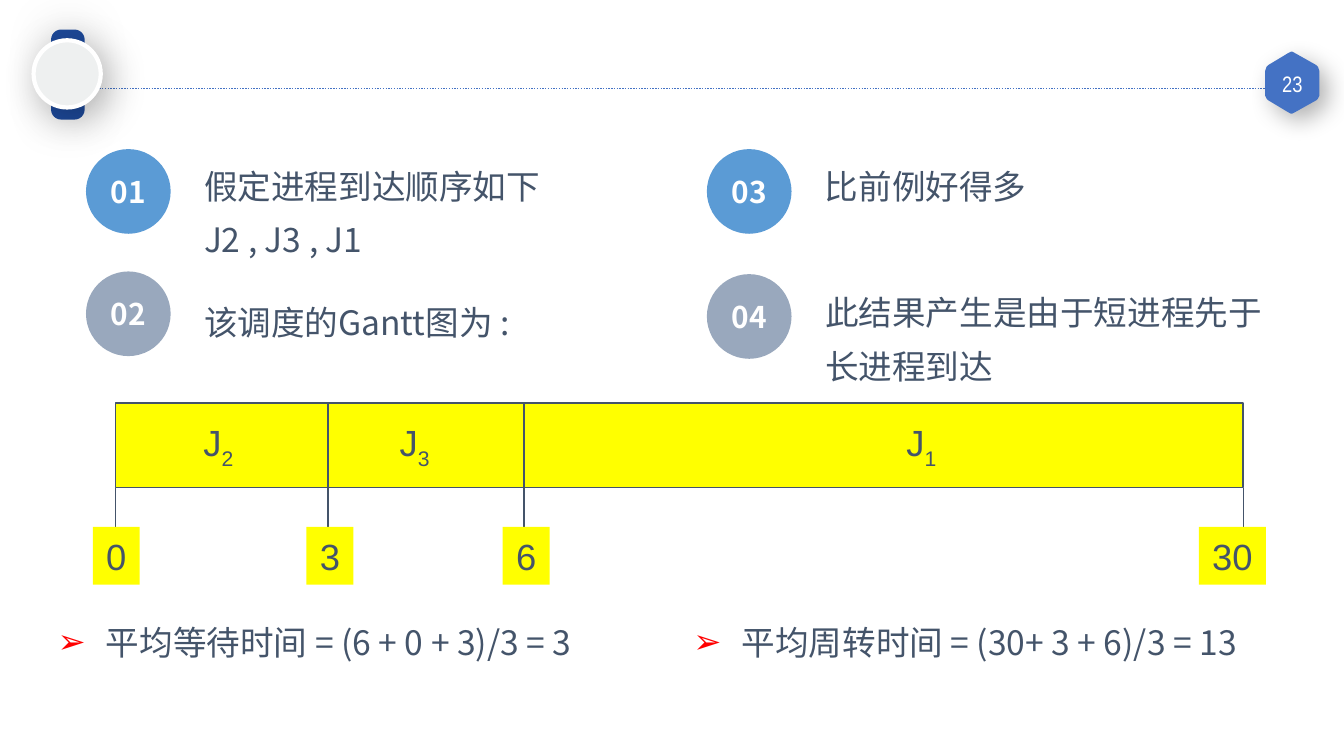
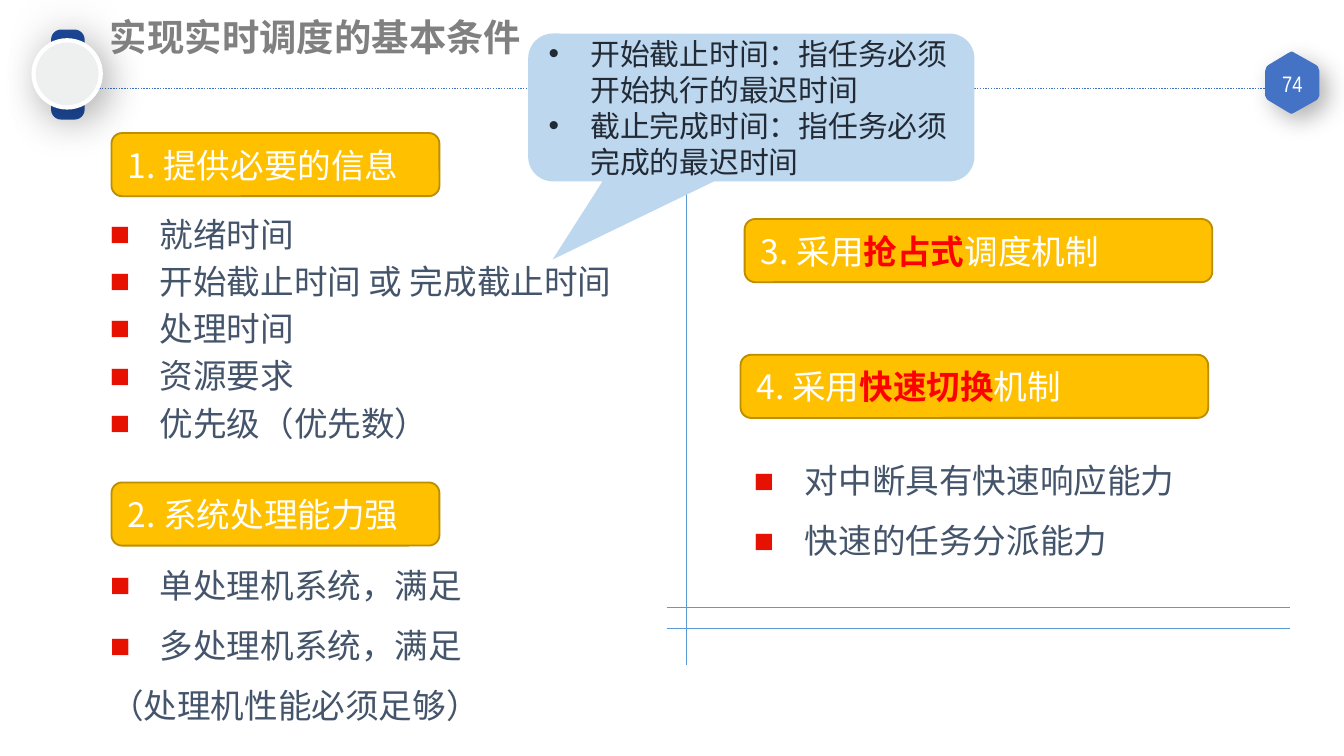
"""Build two slides on process scheduling: a Gantt example and real-time conditions."""
from dataclasses import dataclass, field
from typing import Any, NamedTuple, Optional

from lxml import etree
from pptx import Presentation, util as u
from pptx.dml.color import RGBColor
from pptx.enum import dml, shapes, text
from pptx.oxml import ns

EMU_PER_PX = 9144
SLIDE_WIDTH = 1000 * EMU_PER_PX
SANS = "Noto Sans CJK SC"
WHITE = RGBColor(0xFF, 0xFF, 0xFF)
ACCENT = RGBColor(0x44, 0x72, 0xC4)
NAVY = RGBColor(0x1D, 0x49, 0x99)
PALE = RGBColor(0xEE, 0xF0, 0xF0)
BLUE = RGBColor(0x5B, 0x9B, 0xD5)
SLATE = RGBColor(0x99, 0xA8, 0xBD)
INK = RGBColor(0x44, 0x54, 0x6A)
DARK = RGBColor(0x22, 0x2A, 0x35)
GRAY = RGBColor(0x80, 0x80, 0x80)
YELLOW = RGBColor(0xFF, 0xFF, 0x00)
AMBER = RGBColor(0xFF, 0xC0, 0x00)
BRONZE = RGBColor(0xBD, 0x8E, 0x00)
SKY = RGBColor(0xBD, 0xD7, 0xEE)
RED = RGBColor(0xFF, 0x00, 0x00)
SQUARE_RED = RGBColor(0xE7, 0x11, 0x01)

MIDDLE = {"vertical_anchor": text.MSO_ANCHOR.MIDDLE}
TIGHT = MIDDLE | {
    "margin_left": 7 * EMU_PER_PX, "margin_right": 7 * EMU_PER_PX,
    "margin_top": 4 * EMU_PER_PX, "margin_bottom": 4 * EMU_PER_PX,
}
CENTER = {"alignment": text.PP_ALIGN.CENTER}
LOOSE = {"line_spacing": 1.32}
EXACT = {"line_spacing": u.Pt(21.6)}


class Box(NamedTuple):
    """Place and size in px."""
    left: int
    top: int
    width: int
    height: int


class Shadow(NamedTuple):
    """Outer shadow: opacity in percent, lengths in points, angle in degrees."""
    opacity: int
    blur: int
    distance: int
    angle: int


class Bullet(NamedTuple):
    """Bullet sign with its colour and indents in px."""
    sign: str
    color: RGBColor
    margin: int
    hanging: int


class Run(NamedTuple):
    """Stretch of text with its own look."""
    words: str
    color: RGBColor = INK
    size: float = 18
    bold: bool = False
    font: str = SANS
    baseline: int = 0


@dataclass
class Line:
    """Paragraph made of runs."""
    runs: list[Run]
    bullet: Optional[Bullet] = None
    format: dict[str, Any] = field(default_factory=dict)


@dataclass
class Look:
    """Fill, outline and shadow of a shape."""
    fill: RGBColor
    outline: Optional[RGBColor] = None
    weight: float = 1
    shadow: Optional[Shadow] = None


@dataclass
class Item:
    """Numbered point with its badge and body."""
    number: str
    badge: Box
    color: RGBColor
    body: Box
    words: str


OVAL = shapes.MSO_SHAPE.OVAL
RECTANGLE = shapes.MSO_SHAPE.RECTANGLE
ROUNDED = shapes.MSO_SHAPE.ROUNDED_RECTANGLE
CALLOUT = shapes.MSO_SHAPE.ROUNDED_RECTANGULAR_CALLOUT
LIST_BULLET = Bullet("■", SQUARE_RED, 37, -58)
WIDE_BULLET = Bullet("■", SQUARE_RED, 38, -38)
ARROW_BULLET = Bullet("➢", RED, 36, -36)
NOTE_BULLET = Bullet("•", DARK, 31, -31)
HEXAGON = [
    (942, 53), (943, 50), (944, 49), (959, 40), (961, 39), (963, 40), (979, 49),
    (980, 50), (981, 53), (981, 71), (980, 73), (979, 74), (963, 83), (961, 84),
    (959, 83), (944, 74), (943, 73), (942, 71),
]
ITEMS = [
    Item("01", Box(64, 111, 63, 63), BLUE, Box(142, 109, 300, 83), "假定进程到达顺序如下 J2 , J3 , J1"),
    Item("02", Box(64, 202, 63, 63), SLATE, Box(142, 210, 421, 63), "该调度的Gantt图为 :"),
    Item("03", Box(526, 111, 63, 63), BLUE, Box(604, 109, 254, 83), "比前例好得多"),
    Item("04", Box(526, 204, 63, 63), SLATE, Box(604, 203, 359, 63), "此结果产生是由于短进程先于长进程到达"),
]
AVERAGES = [
    (Box(33, 461, 452, 37), "平均等待时间 = (6 + 0 + 3)/3 = 3"),
    (Box(506, 461, 469, 45), "平均周转时间 = (30+ 3 + 6)/3 = 13"),
]
JOBS = [("2", 141), ("3", 287), ("1", 664)]
TICKS = [("0", 86, 363, Box(69, 392, 35, 43)), ("3", 244, 300, Box(228, 392, 35, 43)),
         ("6", 390, 300, Box(374, 392, 35, 43)), ("30", 925, 363, Box(892, 392, 50, 43))]
HEADINGS = [
    (Box(83, 99, 244, 47), [("1. 提供必要的信息", False)]),
    (Box(83, 359, 244, 47), [("2. 系统处理能力强", False)]),
    (Box(554, 163, 348, 47), [("3. 采用", False), ("抢占式", True), ("调度机制", False)]),
    (Box(551, 264, 348, 47), [("4. 采用", False), ("快速切换", True), ("机制", False)]),
]
LISTS = [
    (Box(72, 154, 423, 185), LIST_BULLET, EXACT,
     ["就绪时间", "开始截止时间 或 完成截止时间", "处理时间", "资源要求", "优先级（优先数）"]),
    (Box(72, 406, 329, 129), LIST_BULLET, LOOSE,
     ["单处理机系统，满足", "多处理机系统，满足", "（处理机性能必须足够）"]),
    (Box(551, 328, 408, 104), WIDE_BULLET, LOOSE,
     ["对中断具有快速响应能力", "快速的任务分派能力"]),
]
RULES = [(511, 121, 511, 495), (496, 452, 960, 452), (496, 468, 960, 468)]


def px(value: int) -> int:
    """Turn px into EMU."""
    return value * EMU_PER_PX


def apply(target: Any, values: dict[str, Any]) -> None:
    """Set every attribute named in the values."""
    for name, value in values.items():
        setattr(target, name, value)


def element(parent: Any, tag: str, **attributes: Any) -> Any:
    """Append an XML element with attributes."""
    return etree.SubElement(parent, ns.qn(tag), {key: str(value) for key, value in attributes.items()})


def add_bullet(paragraph: Any, bullet: Bullet) -> None:
    """Give a paragraph a bullet and a hanging indent."""
    properties = paragraph._p.get_or_add_pPr()
    properties.set("marL", str(px(bullet.margin)))
    properties.set("indent", str(px(bullet.hanging)))
    element(element(properties, "a:buClr"), "a:srgbClr", val=bullet.color)
    element(properties, "a:buFont", typeface="Arial")
    element(properties, "a:buChar", char=bullet.sign)


def add_run(paragraph: Any, spec: Run) -> None:
    """Add a formatted run."""
    run = paragraph.add_run()
    run.text = spec.words
    apply(run.font, {"name": spec.font, "size": u.Pt(spec.size), "bold": spec.bold})
    run.font.color.rgb = spec.color
    properties = run._r.get_or_add_rPr()
    element(properties, "a:ea", typeface=spec.font)
    if spec.baseline:
        properties.set("baseline", str(spec.baseline * 1000))


def write(shape: Any, lines: list[Line], frame_format: Optional[dict[str, Any]] = None) -> None:
    """Fill a shape with paragraphs."""
    frame = shape.text_frame
    apply(frame, {"word_wrap": True} | (frame_format or {}))
    for index, line in enumerate(lines):
        paragraph = frame.add_paragraph() if index else frame.paragraphs[0]
        if line.bullet:
            add_bullet(paragraph, line.bullet)
        apply(paragraph, {"alignment": text.PP_ALIGN.LEFT} | line.format)
        for run in line.runs:
            add_run(paragraph, run)


def dress(shape: Any, look: Look) -> Any:
    """Set fill, outline and shadow."""
    shape.shadow.inherit = False
    shape.fill.solid()
    shape.fill.fore_color.rgb = look.fill
    if look.outline is None:
        shape.line.fill.background()
    else:
        shape.line.color.rgb = look.outline
        shape.line.width = u.Pt(look.weight)
    if look.shadow:
        effects = shape._element.spPr.find(ns.qn("a:effectLst"))
        outer = element(effects, "a:outerShdw", blurRad=u.Pt(look.shadow.blur),
                        dist=u.Pt(look.shadow.distance), dir=look.shadow.angle * 60000,
                        algn="ctr", rotWithShape=0)
        element(element(outer, "a:srgbClr", val="000000"), "a:alpha", val=look.shadow.opacity * 1000)
    return shape


def add_shape(slide: Any, kind: Any, box: Box, look: Look, adjustments: tuple[float, ...] = ()) -> Any:
    """Add a dressed preset shape."""
    shape = slide.shapes.add_shape(kind, *map(px, box))
    for index, value in enumerate(adjustments):
        shape.adjustments[index] = value
    return dress(shape, look)


def add_text(slide: Any, box: Box, lines: list[Line], frame_format: Optional[dict[str, Any]] = None) -> None:
    """Add a text box."""
    write(slide.shapes.add_textbox(*map(px, box)), lines, frame_format)


def add_line(slide: Any, ends: tuple[int, int, int, int], color: RGBColor, weight: float) -> Any:
    """Add a straight line without shadow."""
    line = slide.shapes.add_connector(shapes.MSO_CONNECTOR.STRAIGHT, *map(px, ends))
    line.line.color.rgb = color
    line.line.width = u.Pt(weight)
    element(line._element.spPr, "a:effectLst")
    return line


def add_frame(presentation: Any, number: str) -> Any:
    """Add a blank slide with the shared header and page number."""
    slide = presentation.slides.add_slide(presentation.slide_layouts[6])
    add_line(slide, (33, 66, 943, 66), ACCENT, 0.75).line.dash_style = dml.MSO_LINE.ROUND_DOT
    builder = slide.shapes.build_freeform(*HEXAGON[0], scale=EMU_PER_PX)
    builder.add_line_segments(HEXAGON[1:], close=True)
    dress(builder.convert_to_shape(), Look(ACCENT, ACCENT, 1, Shadow(30, 13, 6, 45)))
    add_text(slide, Box(942, 50, 39, 25),
             [Line([Run(number, WHITE, 12, font="Arial Narrow")], format=CENTER)], TIGHT)
    add_shape(slide, ROUNDED, Box(38, 22, 25, 67), Look(NAVY, shadow=Shadow(17, 27, 0, 0)), (0.3,))
    add_shape(slide, OVAL, Box(25, 30, 50, 50), Look(PALE, WHITE, 2.25, Shadow(28, 22, 6, 45)))
    return slide


def add_tag(slide: Any, box: Box, runs: list[Run]) -> None:
    """Add a yellow label of the Gantt chart."""
    shape = add_shape(slide, RECTANGLE, box, Look(YELLOW))
    write(shape, [Line(runs, format=CENTER)], MIDDLE | {"word_wrap": False})


def build_gantt(presentation: Any) -> None:
    """Build the slide with the Gantt example."""
    slide = add_frame(presentation, "23")
    for item in ITEMS:
        badge = add_shape(slide, OVAL, item.badge, Look(item.color))
        write(badge, [Line([Run(item.number, WHITE, 16, True)], format=CENTER)], TIGHT)
        add_text(slide, item.body, [Line([Run(item.words)], format=LOOSE)])
    for box, words in AVERAGES:
        add_text(slide, box, [Line([Run(words)], ARROW_BULLET, {"line_spacing": 0.9})])
    add_shape(slide, RECTANGLE, Box(86, 300, 839, 63), Look(YELLOW, INK, 0.75))
    for job, left in JOBS:
        add_tag(slide, Box(left, 310, 43, 43),
                [Run("J", size=19.5, font="Arial"), Run(job, size=19.5, font="Arial", baseline=-25)])
    for time, position, top, box in TICKS:
        add_line(slide, (position, top, position, 400), INK, 0.75)
        add_tag(slide, box, [Run(time, size=19.5, font="Arial")])


def build_conditions(presentation: Any) -> None:
    """Build the slide with the conditions of real-time scheduling."""
    slide = add_frame(presentation, "74")
    add_text(slide, Box(72, 6, 576, 44), [Line([Run("实现实时调度的基本条件", GRAY, 20, True)])])
    for ends in RULES:
        add_line(slide, ends, BLUE, 0.5)
    for box, parts in HEADINGS:
        heading = add_shape(slide, ROUNDED, box, Look(AMBER, BRONZE))
        runs = [Run(words, RED if strong else WHITE, bold=strong) for words, strong in parts]
        write(heading, [Line(runs)], MIDDLE)
    for box, bullet, spacing, entries in LISTS:
        lines = [Line([Run(entry)], None if entry.startswith("（") else bullet,
                      spacing | ({"space_before": u.Pt(3.7)} if index else {}))
                 for index, entry in enumerate(entries)]
        add_text(slide, box, lines)
    callout = add_shape(slide, CALLOUT, Box(393, 25, 332, 110), Look(SKY), (-0.445, 1.028, 0.167))
    notes = ["开始截止时间：指任务必须开始执行的最迟时间", "截止完成时间：指任务必须完成的最迟时间"]
    write(callout, [Line([Run(note, DARK, 16)], NOTE_BULLET) for note in notes], MIDDLE)


def main() -> None:
    """Build and save the presentation."""
    presentation = Presentation()
    apply(presentation, {"slide_width": SLIDE_WIDTH, "slide_height": SLIDE_WIDTH * 9 // 16})
    build_gantt(presentation)
    build_conditions(presentation)
    presentation.save("out.pptx")


if __name__ == "__main__":
    main()
